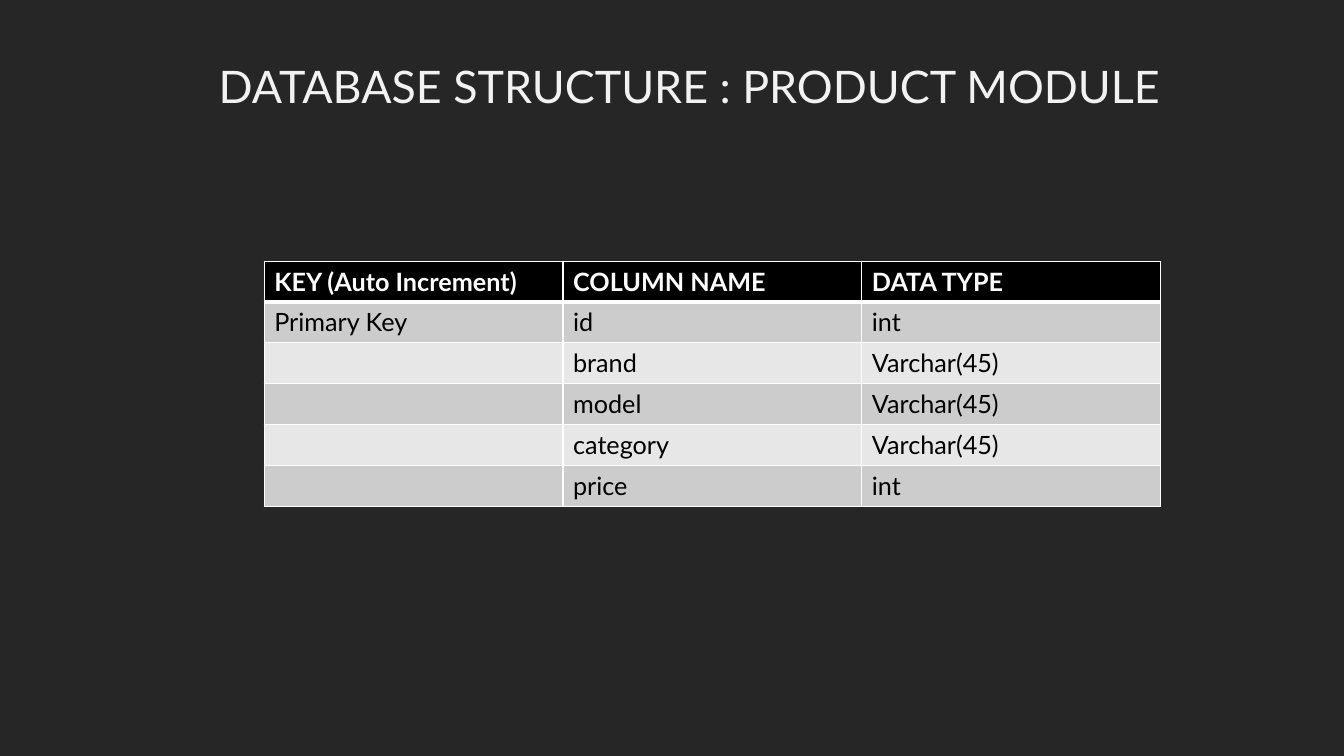
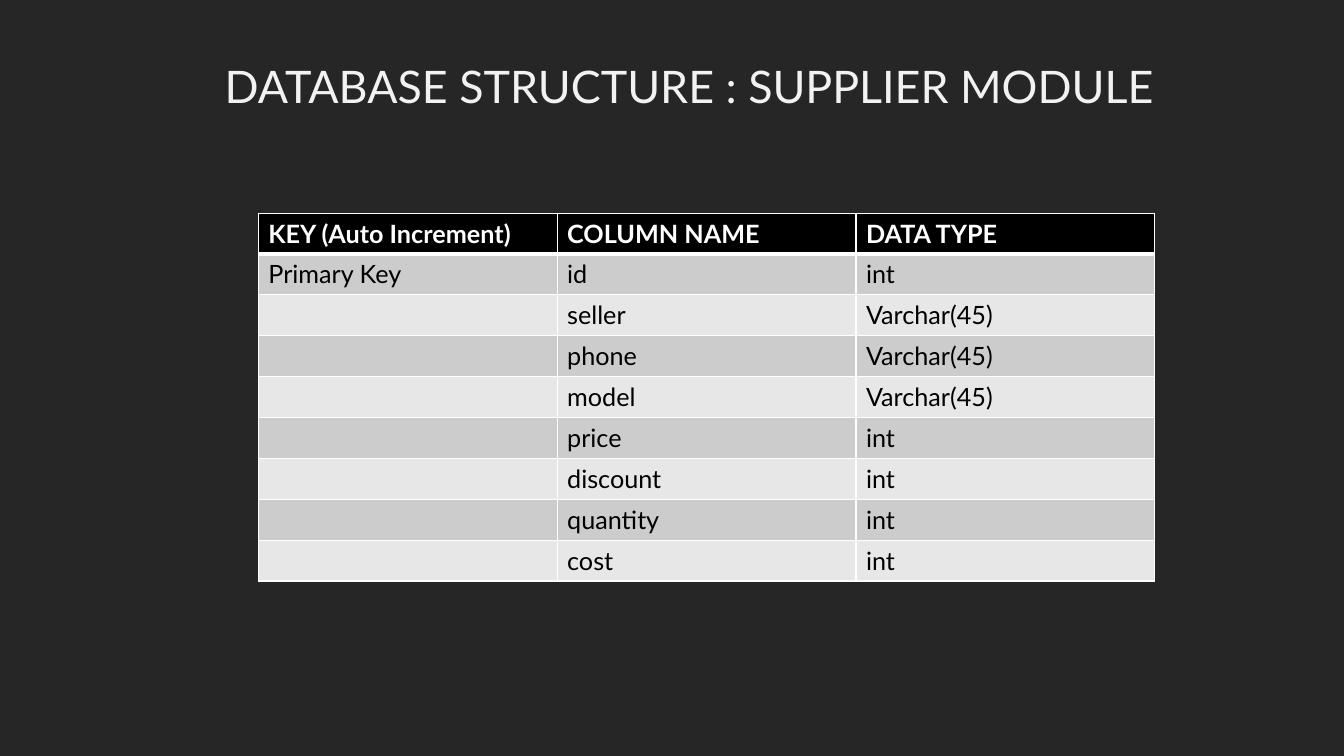
import pptx
import pptx.dml.color
import pptx.enum.text
import pptx.oxml
import pptx.oxml.ns
import pptx.util
from pptx.util import Cm, Pt

RGBColor = pptx.dml.color.RGBColor
BACKGROUND = RGBColor(0x26, 0x26, 0x26)
TITLE_COLOR = RGBColor(0xF2, 0xF2, 0xF2)
WHITE = RGBColor(0xFF, 0xFF, 0xFF)
BLACK = RGBColor(0x00, 0x00, 0x00)
BANDS = (RGBColor(0xCC, 0xCC, 0xCC), RGBColor(0xE7, 0xE7, 0xE7))

FONT = "Lato"
COLUMN_WIDTH = Cm(7.53)
ROW_HEIGHT = Cm(1.03)
RULE = Pt(1)
HEADER_RULE = Pt(3)

HEADERS = ("KEY (Auto Increment)", "COLUMN NAME", "DATA TYPE")
MODULES = [
    {
        "title": "DATABASE STRUCTURE : PRODUCT MODULE",
        "table_at": (Cm(6.66), Cm(6.58)),
        "fields": [
            ("Primary Key", "id", "int"),
            ("", "brand", "Varchar(45)"),
            ("", "model", "Varchar(45)"),
            ("", "category", "Varchar(45)"),
            ("", "price", "int"),
        ],
    },
    {
        "title": "DATABASE STRUCTURE : SUPPLIER MODULE",
        "table_at": (Cm(6.51), Cm(5.37)),
        "fields": [
            ("Primary Key", "id", "int"),
            ("", "seller", "Varchar(45)"),
            ("", "phone", "Varchar(45)"),
            ("", "model", "Varchar(45)"),
            ("", "price", "int"),
            ("", "discount", "int"),
            ("", "quantity", "int"),
            ("", "cost", "int"),
        ],
    },
]


def set_font(paragraph, size, color, bold=False):
    font = paragraph.font
    font.name, font.size, font.bold = FONT, Pt(size), bold
    font.color.rgb = color


def add_title(slide, text):
    title = slide.shapes.add_textbox(Cm(1.63), Cm(1.63), Cm(31.5), Cm(1.5))
    frame = title.text_frame
    frame.word_wrap = True
    frame.margin_left = frame.margin_right = frame.margin_top = frame.margin_bottom = 0
    paragraph = frame.paragraphs[0]
    paragraph.text = text
    paragraph.alignment = pptx.enum.text.PP_ALIGN.CENTER
    paragraph.line_spacing = 0.9
    set_font(paragraph, 32, TITLE_COLOR)


def set_borders(cell, top, bottom):
    """Draw white borders; call before filling, as the XML needs lines first."""
    properties = cell._tc.get_or_add_tcPr()
    for side, width in (("L", RULE), ("R", RULE), ("T", top), ("B", bottom)):
        properties.append(pptx.oxml.parse_xml(
            f'<a:ln{side} {pptx.oxml.ns.nsdecls("a")} w="{width}">'
            f'<a:solidFill><a:srgbClr val="{WHITE}"/></a:solidFill></a:ln{side}>'))


def add_field_table(slide, position, fields):
    rows = [HEADERS, *fields]
    table = slide.shapes.add_table(
        len(rows), len(HEADERS), *position,
        COLUMN_WIDTH * len(HEADERS), ROW_HEIGHT * len(rows)).table
    for column in table.columns:
        column.width = COLUMN_WIDTH
    for row_index, values in enumerate(rows):
        table.rows[row_index].height = ROW_HEIGHT
        is_header = row_index == 0
        for column_index, value in enumerate(values):
            cell = table.cell(row_index, column_index)
            cell.text = value
            set_font(cell.text_frame.paragraphs[0], 18,
                     WHITE if is_header else BLACK, is_header)
            set_borders(cell,
                        top=HEADER_RULE if row_index == 1 else RULE,
                        bottom=HEADER_RULE if is_header else RULE)
            cell.fill.solid()
            cell.fill.fore_color.rgb = BLACK if is_header else BANDS[(row_index - 1) % 2]


def main():
    deck = pptx.Presentation()
    deck.slide_width, deck.slide_height = Cm(33.87), Cm(19.05)
    backdrop = deck.slide_master.background.fill
    backdrop.solid()
    backdrop.fore_color.rgb = BACKGROUND
    for module in MODULES:
        slide = deck.slides.add_slide(deck.slide_layouts[6])
        add_title(slide, module["title"])
        add_field_table(slide, module["table_at"], module["fields"])
    deck.save("out.pptx")


if __name__ == "__main__":
    main()
